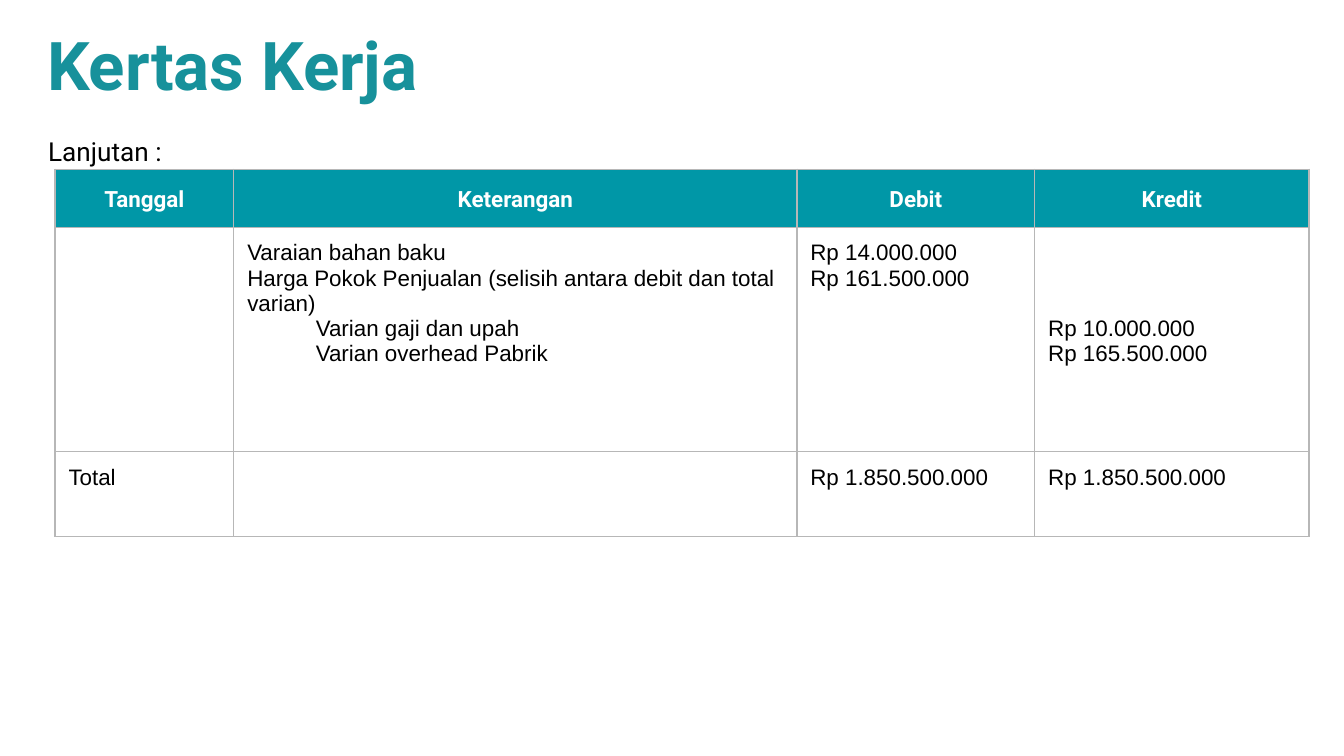
from lxml import etree
from pptx import Presentation
from pptx import util as u
from pptx.dml.color import RGBColor
from pptx.enum import text
from pptx.oxml.ns import qn

TEAL, TITLE_TEAL, GREY = "0097A7", "17919B", "B7B7B7"
PAGE_WIDTH = 10
PAGE_HEIGHT = PAGE_WIDTH * 9 / 16
COLUMNS = [1.33, 4.19, 1.77, 2.04]
ROWS = [0.43, 1.67, 0.63]
HEADINGS = ["Tanggal", "Keterangan", "Debit", "Kredit"]
ENTRIES = [
    [],
    ["Varaian bahan baku",
     "Harga Pokok Penjualan (selisih antara debit dan total varian)",
     "Varian gaji dan upah", "Varian overhead Pabrik"],
    ["Rp 14.000.000", "Rp 161.500.000"],
    ["Rp 10.000.000", "Rp 165.500.000"],
]
TOTALS = [["Total"], [], ["Rp 1.850.500.000"], ["Rp 1.850.500.000"]]
CREDIT_TOP = 0.66
SUB_ENTRY_INDENT = 0.51

TITLE = {"name": "Roboto", "size": u.Pt(36), "bold": True}
LABEL = {"name": "Roboto", "size": u.Pt(14), "bold": False}
HEADING = {"name": "Roboto", "size": u.Pt(12), "bold": True}
BODY = {"name": "Arial", "size": u.Pt(12), "bold": False}


def colour(value):
    return RGBColor.from_string(value)


def set_values(item, values):
    for name, value in values.items():
        setattr(item, name, value)


def write(frame, lines, style, shade, **layout):
    for index, line in enumerate(lines):
        para = frame.paragraphs[0] if index == 0 else frame.add_paragraph()
        span = para.add_run()
        span.text = line
        set_values(span.font, style)
        span.font.color.rgb = colour(shade)
        set_values(para, layout)


def set_margins(item, left, top, right, bottom):
    set_values(item, {"margin_left": u.Inches(left), "margin_top": u.Inches(top),
                      "margin_right": u.Inches(right), "margin_bottom": u.Inches(bottom)})


def place(shape, box):
    set_values(shape, dict(zip(("left", "top", "width", "height"), map(u.Inches, box))))


def add_borders(cell, shade):
    properties = cell._tc.get_or_add_tcPr()
    for index, side in enumerate(("lnL", "lnR", "lnT", "lnB")):
        line = etree.Element(qn(f"a:{side}"), w=str(u.Pt(0.75)))
        fill = etree.SubElement(line, qn("a:solidFill"))
        etree.SubElement(fill, qn("a:srgbClr"), val=shade)
        properties.insert(index, line)


def add_title(page, box):
    title = page.shapes.title
    place(title, box)
    frame = title.text_frame
    set_margins(frame, 0, 0.01, 0, 0)
    set_values(frame, {"word_wrap": True, "vertical_anchor": text.MSO_ANCHOR.TOP,
                       "auto_size": text.MSO_AUTO_SIZE.SHAPE_TO_FIT_TEXT})
    write(frame, ["Kertas Kerja"], TITLE, TITLE_TEAL, alignment=text.PP_ALIGN.LEFT)
    frame.paragraphs[0]._p.get_or_add_pPr().set("marL", str(u.Inches(0.01)))


def add_label(page, box):
    frame = page.shapes.add_textbox(*map(u.Inches, box)).text_frame
    frame.word_wrap = True
    set_margins(frame, 0.1, 0.1, 0.1, 0.1)
    write(frame, ["Lanjutan :"], LABEL, "000000", line_spacing=1.15)


def add_journal(page, box):
    table = page.shapes.add_table(len(ROWS), len(COLUMNS), *map(u.Inches, box)).table
    set_values(table, {"first_row": False, "horz_banding": False})
    for column, width in zip(table.columns, COLUMNS):
        column.width = u.Inches(width)
    for row, height in zip(table.rows, ROWS):
        row.height = u.Inches(height)
    for cell in table.iter_cells():
        set_margins(cell, 0.1, 0.1, 0.1, 0.1)
        cell.fill.background()
        add_borders(cell, GREY)
    for index, heading in enumerate(HEADINGS):
        cell = table.cell(0, index)
        cell.fill.solid()
        cell.fill.fore_color.rgb = colour(TEAL)
        cell.vertical_anchor = text.MSO_ANCHOR.MIDDLE
        write(cell.text_frame, [heading], HEADING, "FFFFFF",
              alignment=text.PP_ALIGN.CENTER, line_spacing=1.15)
    for row, contents in enumerate((ENTRIES, TOTALS), start=1):
        for column, lines in enumerate(contents):
            write(table.cell(row, column).text_frame, lines, BODY, "000000")
    for para in table.cell(1, 1).text_frame.paragraphs[2:]:
        para._p.get_or_add_pPr().set("marL", str(u.Inches(SUB_ENTRY_INDENT)))
    table.cell(1, 3).margin_top = u.Inches(CREDIT_TOP)


def main():
    deck = Presentation()
    set_values(deck, {"slide_width": u.Inches(PAGE_WIDTH),
                      "slide_height": u.Inches(PAGE_HEIGHT)})
    page = deck.slides.add_slide(deck.slide_layouts[5])
    add_label(page, (0.26, 0.87, 8.81, 0.39))
    add_journal(page, (0.41, 1.26, sum(COLUMNS), sum(ROWS)))
    add_title(page, (0.34, 0.16, 9.33, 0.62))
    deck.save("out.pptx")


if __name__ == "__main__":
    main()
